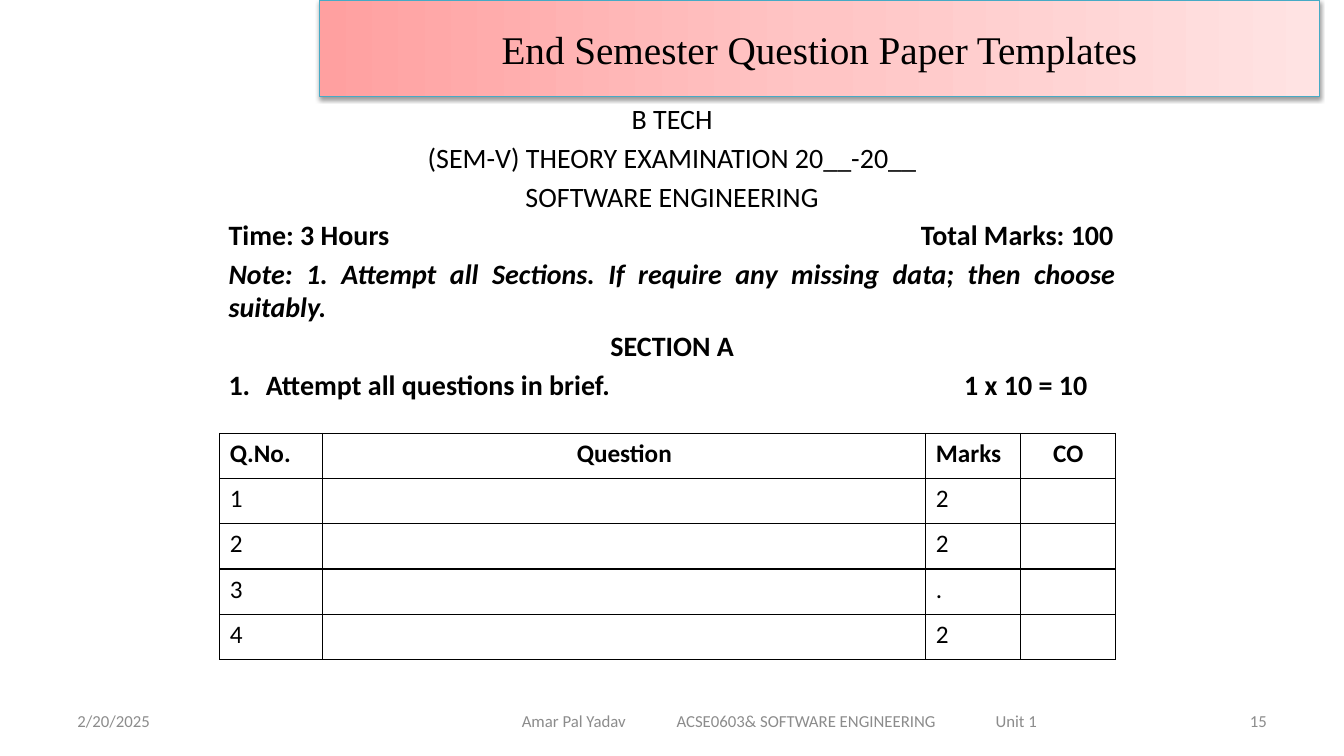
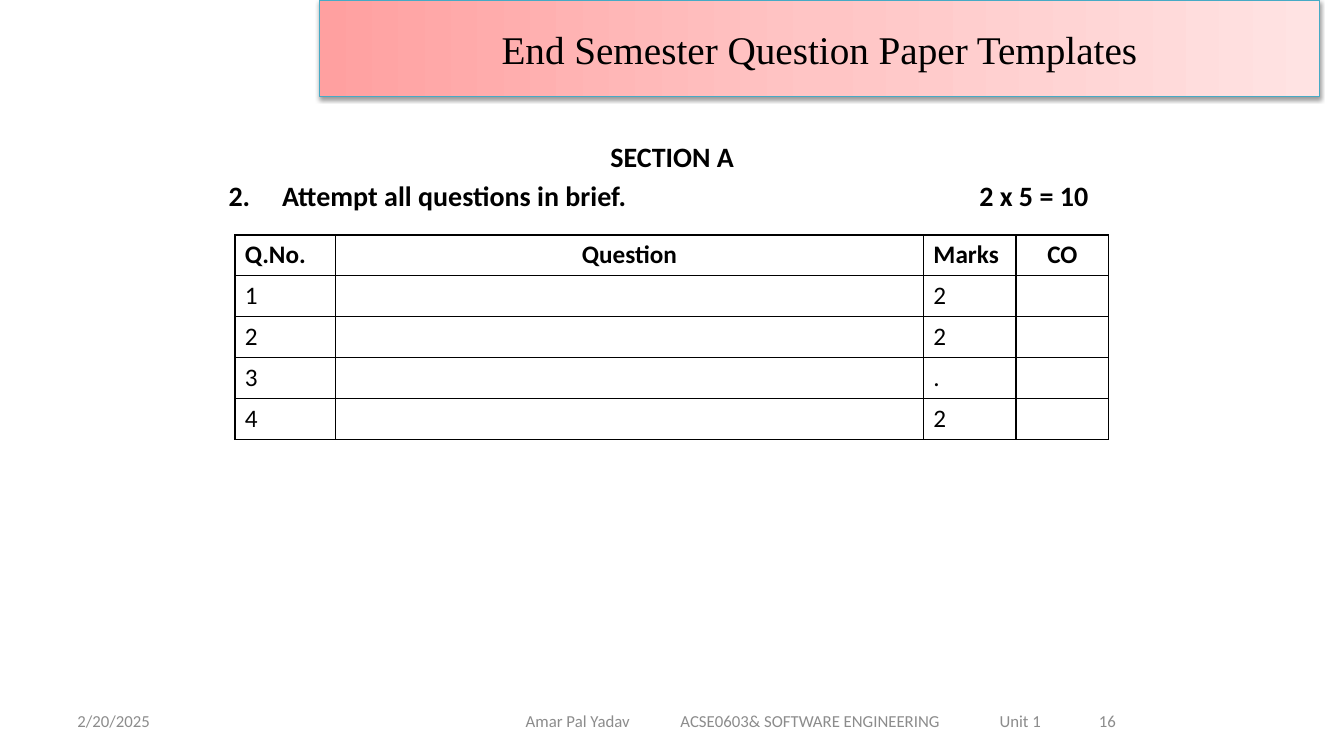
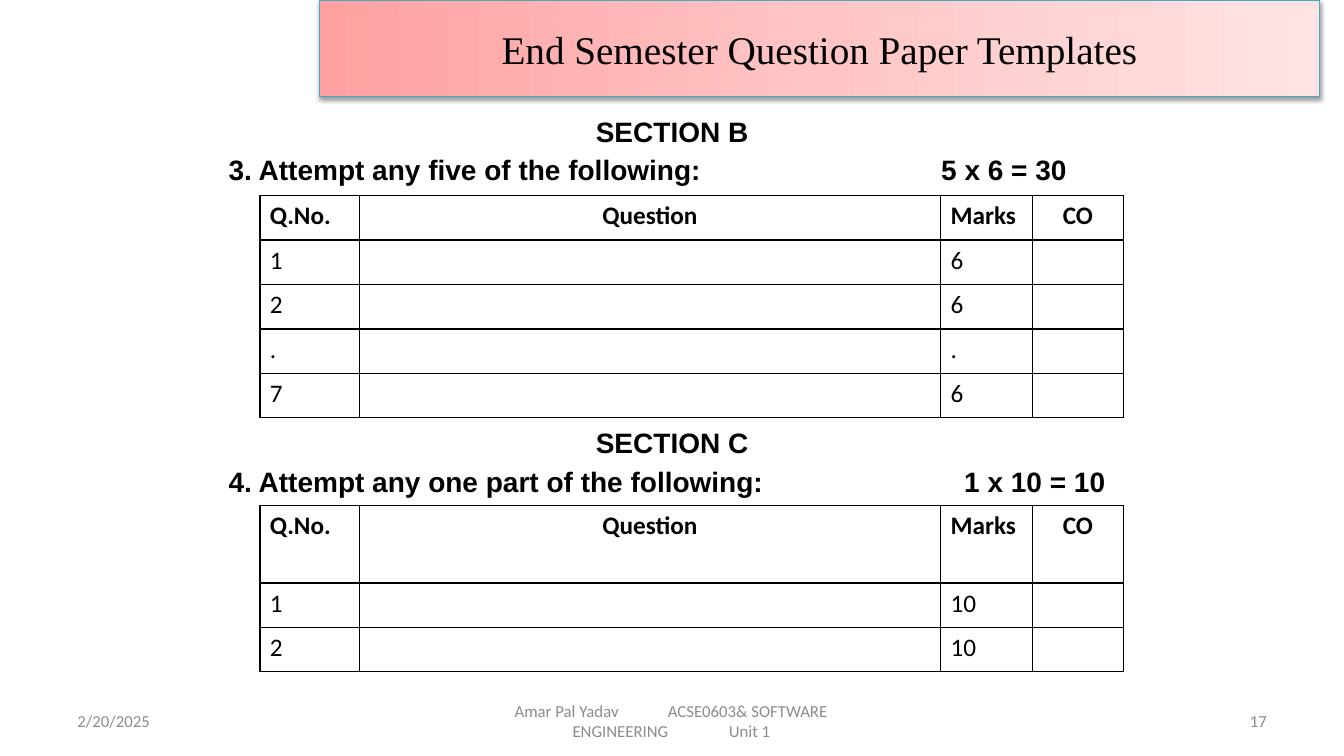
import pptx
import pptx.dml.color
import pptx.enum.text
import pptx.oxml
import pptx.oxml.ns
import pptx.util

Cm = pptx.util.Cm
Pt = pptx.util.Pt
ALIGN = pptx.enum.text.PP_ALIGN
MIDDLE = pptx.enum.text.MSO_ANCHOR.MIDDLE

COLORS = {
    "text": "000000",
    "footer": "8C8C8C",
    "cell": "FFFFFF",
    "border": "000000",
    "band_line": "46AAC5",
    "band_start": "FFA0A0",
    "band_middle": "FFC5C5",
    "band_end": "FFE3E3",
}
TITLE = "End Semester Question Paper Templates"
DATE = "2/20/2025"
FIRST_PAGE = 15
FOOTER_TOP, FOOTER_HEIGHT = 17.65, 1.02
BODY_LEFT, BODY_WIDTH = 5.51, 22.86
HEADINGS = ["Q.No.", "Question", "Marks", "CO"]
COLUMN_SHARES = [0.115, 0.673, 0.106, 0.106]
COLUMN_ALIGNS = [ALIGN.LEFT, ALIGN.CENTER, ALIGN.LEFT, ALIGN.CENTER]

BOLD = {"bold": True}
CENTERED = {"align": ALIGN.CENTER}
SECTION = {"bold": True, "align": ALIGN.CENTER}
NOTE = {"bold": True, "italic": True, "align": ALIGN.JUSTIFY}

FOOTER_LINE = [("Amar Pal Yadav\tACSE0603& SOFTWARE ENGINEERING\tUnit 1", [3.9, 11.94])]
FOOTER_TWO_LINES = [
    ("\tAmar Pal Yadav\tACSE0603& SOFTWARE", [1.14, 5]),
    ("\tENGINEERING\tUnit 1", [2.6, 6.54]),
]
BRIEF_MARKS = [("1", "2"), ("2", "2"), ("3", "."), ("4", "2")]

SLIDES = [
    {
        "footer": (12.9, 13.55, FOOTER_LINE),
        "page": (24.28, 7.9),
        "bodies": [(2.44, 8.3, "Calibri", [
            ("B TECH", [], CENTERED),
            ("(SEM-V) THEORY EXAMINATION 20__-20__", [], CENTERED),
            ("SOFTWARE ENGINEERING", [], CENTERED),
            ("Time: 3 Hours\tTotal Marks: 100", [17.45], BOLD),
            ("Note: 1. Attempt all Sections. If require any missing data; "
             "then choose suitably.", [], NOTE),
            ("SECTION A", [], SECTION),
            ("1.\tAttempt all questions in brief.\t1 x 10 = 10", [0.94, 18.54], BOLD),
        ])],
        "tables": [(5.54, 10.92, 22.58, 1.14, 1.14, BRIEF_MARKS)],
    },
    {
        "footer": (13, 13.67, FOOTER_LINE),
        "page": (9.4, 18.97),
        "bodies": [(3.4, 2.2, "Calibri", [
            ("SECTION A", [], SECTION),
            ("2.\tAttempt all questions in brief.\t2 x 5 = 10", [1.35, 18.92], BOLD),
        ])],
        "tables": [(5.92, 5.92, 22.02, 1.03, 1.03, BRIEF_MARKS)],
    },
    {
        "footer": (11.58, 10.72, FOOTER_TWO_LINES),
        "page": (24.28, 7.9),
        "bodies": [
            (2.75, 2.1, "Arial", [
                ("SECTION B", [], SECTION),
                ("3. Attempt any five of the following:\t5 x 6 = 30", [17.96], BOLD),
            ]),
            (10.6, 2.1, "Arial", [
                ("SECTION C", [], SECTION),
                ("4. Attempt any one part of the following:\t1 x 10 = 10", [18.54], BOLD),
            ]),
        ],
        "tables": [
            (6.55, 4.93, 21.77, 1.12, 1.12,
             [("1", "6"), ("2", "6"), (".", "."), ("7", "6")]),
            (6.55, 12.73, 21.77, 1.96, 1.12, [("1", "10"), ("2", "10")]),
        ],
    },
]


def color(name):
    return pptx.dml.color.RGBColor.from_string(COLORS[name])


def drawing(body):
    namespace = pptx.oxml.ns.nsdecls("a")
    tag, rest = body.split(" ", 1)
    return pptx.oxml.parse_xml(f"{tag} {namespace} {rest}")


def format_paragraph(paragraph, text, size, font="Calibri", color_name="text",
                     stops=(), align=ALIGN.LEFT, bold=False, italic=False):
    paragraph.text = text
    if stops:
        tabs = "".join(f'<a:tab pos="{Cm(stop)}" algn="l"/>' for stop in stops)
        properties = paragraph._p.get_or_add_pPr()
        properties.append(drawing(f"<a:tabLst >{tabs}</a:tabLst>"))
    paragraph.alignment = align
    paragraph.font.name = font
    paragraph.font.size = Pt(size)
    paragraph.font.bold = bold
    paragraph.font.italic = italic
    paragraph.font.color.rgb = color(color_name)


def add_text(slide, left, top, width, height, lines, size, spacing=0, **style):
    frame = slide.shapes.add_textbox(Cm(left), Cm(top), Cm(width), Cm(height)).text_frame
    frame.word_wrap = True
    for index, (text, stops, line_style) in enumerate(lines):
        paragraph = frame.add_paragraph() if index else frame.paragraphs[0]
        format_paragraph(paragraph, text, size, stops=stops, **style, **line_style)
        if index and spacing:
            paragraph.space_before = Pt(spacing)
    return frame


def format_title(slide):
    title = slide.shapes.title
    title.left, title.top = Cm(8.05), Cm(0)
    title.width, title.height = Cm(25.2), Cm(2.44)
    stops = "".join(
        f'<a:gs pos="{position}"><a:srgbClr val="{COLORS[name]}"/></a:gs>'
        for position, name in [(0, "band_start"), (50000, "band_middle"), (100000, "band_end")]
    )
    properties = title._element.spPr
    properties.append(drawing(
        f'<a:gradFill rotWithShape="1"><a:gsLst>{stops}</a:gsLst><a:lin ang="0"/></a:gradFill>'
    ))
    title.line.color.rgb = color("band_line")
    title.line.width = Pt(0.75)
    properties.append(drawing(
        f'<a:effectLst ><a:outerShdw blurRad="{Pt(3.1)}" dist="{Pt(1.6)}" dir="5400000" '
        'rotWithShape="0"><a:srgbClr val="000000"><a:alpha val="38000"/></a:srgbClr>'
        '</a:outerShdw></a:effectLst>'
    ))
    frame = title.text_frame
    frame.auto_size = pptx.enum.text.MSO_AUTO_SIZE.NONE
    frame.vertical_anchor = MIDDLE
    format_paragraph(frame.paragraphs[0], TITLE, 28, "Times New Roman", align=ALIGN.CENTER)


def add_footer(slide, footer, page, number):
    left, width, lines = footer
    parts = [
        (1.7, 7.9, [(DATE, [], {})]),
        (left, width, [(text, stops, {}) for text, stops in lines]),
        (*page, [(str(number), [], {"align": ALIGN.RIGHT})]),
    ]
    for part_left, part_width, part_lines in parts:
        frame = add_text(slide, part_left, FOOTER_TOP, part_width, FOOTER_HEIGHT,
                         part_lines, 12, color_name="footer")
        frame.vertical_anchor = MIDDLE
    	

def format_cell(cell, text, align, bold):
    format_paragraph(cell.text_frame.paragraphs[0], text, 18, align=align, bold=bold)
    properties = cell._tc.get_or_add_tcPr()
    for side in "LRTB":
        properties.append(drawing(
            f'<a:ln{side} w="{Pt(1)}"><a:solidFill><a:srgbClr val="{COLORS["border"]}"/>'
            f'</a:solidFill></a:ln{side}>'
        ))
    cell.fill.solid()
    cell.fill.fore_color.rgb = color("cell")


def add_question_table(slide, left, top, width, heading_height, row_height, marks):
    rows = [HEADINGS] + [[number, "", mark, ""] for number, mark in marks]
    heights = [heading_height] + [row_height] * len(marks)
    table = slide.shapes.add_table(len(rows), len(HEADINGS), Cm(left), Cm(top),
                                   Cm(width), Cm(sum(heights))).table
    table.first_row = False
    table.horz_banding = False
    for column, share in zip(table.columns, COLUMN_SHARES):
        column.width = Cm(width * share)
    for row_index, (row, height) in enumerate(zip(rows, heights)):
        table.rows[row_index].height = Cm(height)
        for column_index, text in enumerate(row):
            heading = row_index == 0
            align = COLUMN_ALIGNS[column_index] if heading else ALIGN.LEFT
            format_cell(table.cell(row_index, column_index), text, align, heading)


def main():
    presentation = pptx.Presentation()
    presentation.slide_width, presentation.slide_height = Cm(33.87), Cm(19.05)
    for number, content in enumerate(SLIDES, FIRST_PAGE):
        slide = presentation.slides.add_slide(presentation.slide_layouts[5])
        format_title(slide)
        add_footer(slide, content["footer"], content["page"], number)
        for top, height, font, lines in content["bodies"]:
            add_text(slide, BODY_LEFT, top, BODY_WIDTH, height, lines, 20,
                     spacing=3.6, font=font)
        for table in content["tables"]:
            add_question_table(slide, *table)
    presentation.save("out.pptx")


if __name__ == "__main__":
    main()
